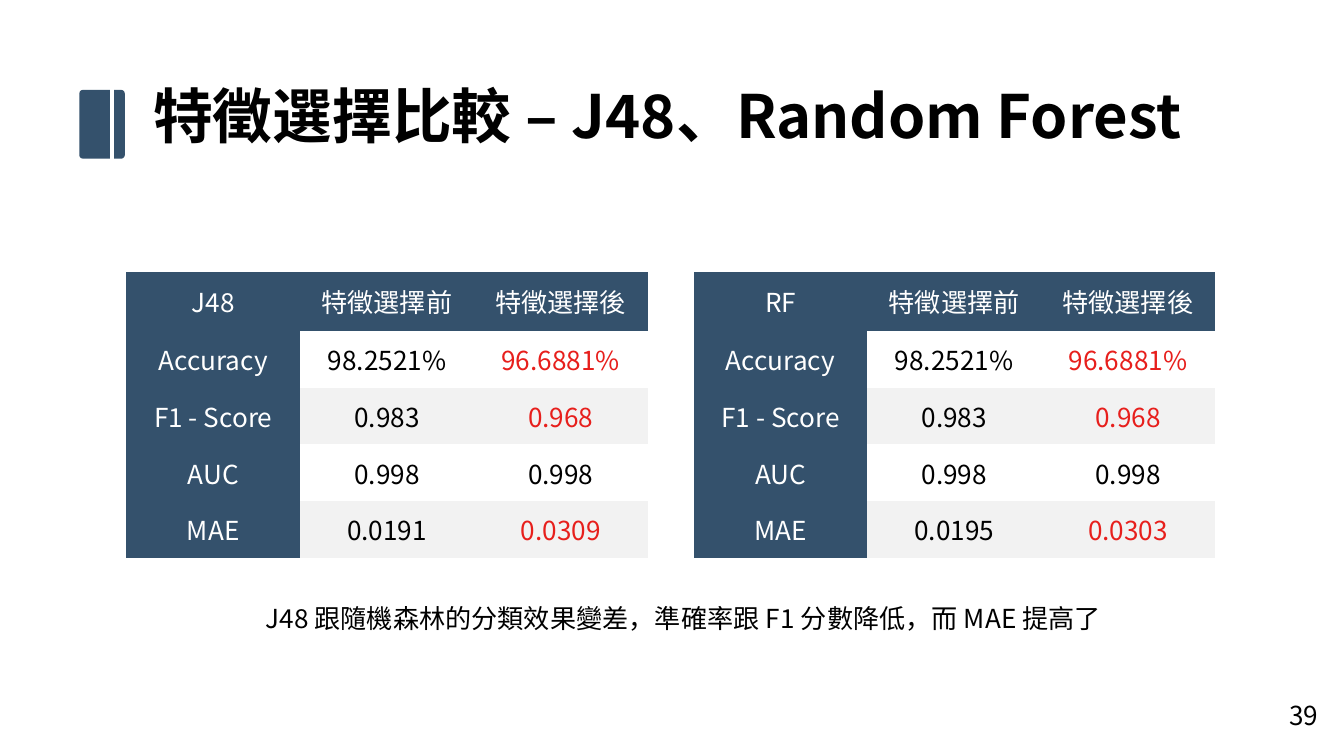
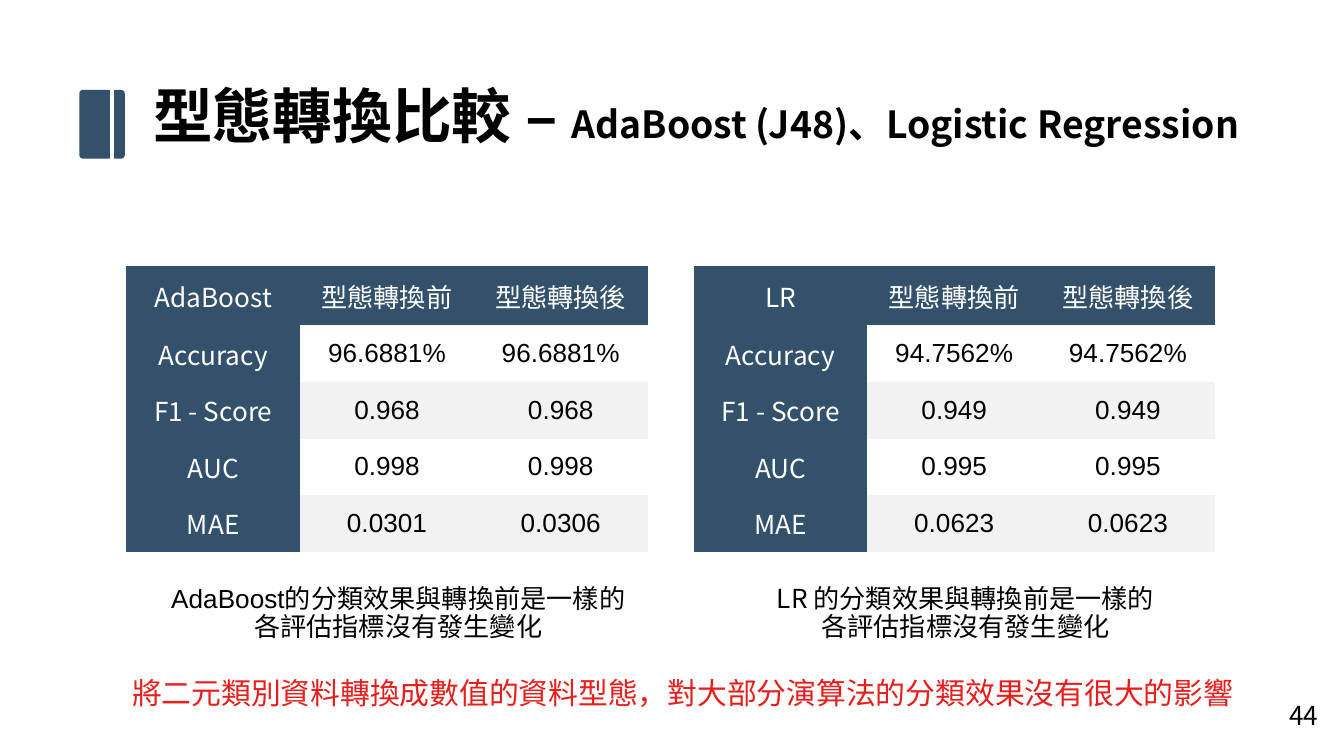
from pptx import Presentation
from pptx.dml.color import RGBColor
from pptx.enum.shapes import MSO_CONNECTOR, MSO_SHAPE
from pptx.enum.text import MSO_ANCHOR, PP_ALIGN
from pptx.oxml.ns import qn
from pptx.util import Cm, Pt
from lxml import etree

LEFT, CENTER = PP_ALIGN.LEFT, PP_ALIGN.CENTER
TOP, MIDDLE = MSO_ANCHOR.TOP, MSO_ANCHOR.MIDDLE
ROUND = MSO_SHAPE.ROUNDED_RECTANGLE
STRAIGHT = MSO_CONNECTOR.STRAIGHT
TITLE_ONLY = 5

COLORS = {"navy": "34516C", "white": "FFFFFF", "black": "000000",
          "red": "E71F1C", "gray": "F2F2F2"}
SANS, ARIAL = "Noto Sans CJK JP", "Arial"
PLAIN_TABLE = "{2D5ABB26-0587-4C30-8999-92F81FD0307C}"

WIDE, HIGH = 25.4, 14.29
TABLE_X = (2.39, 13.11)
TABLE_W = 9.85
HEAD_H, ROW_H = 1.12, 1.07
METRICS = ("Accuracy", "F1 - Score", "AUC", "MAE")


def color(name):
    return RGBColor.from_string(COLORS[name])


class Deck:
    """Holds the presentation, its style and the current slide."""

    def __init__(self):
        self.prs = Presentation()
        self.prs.slide_width, self.prs.slide_height = Cm(WIDE), Cm(HIGH)
        self.slide = None

    def start(self, title, page):
        layout = self.prs.slide_layouts[TITLE_ONLY]
        self.slide = self.prs.slides.add_slide(layout)
        self.title(title)
        self.mark()
        self.text(23.88, 13.18, 1.52, 1.09, [[(page,)]], indent=0)

    def run(self, para, text, size=14, tint="black", face=SANS, bold=False):
        run = para.add_run()
        run.text = text
        font = run.font
        font.size, font.bold, font.name = Pt(size), bold, face
        font.color.rgb = color(tint)
        east = etree.SubElement(run._r.get_or_add_rPr(), qn("a:ea"))
        east.set("typeface", SANS)

    def title(self, runs):
        shape = self.slide.shapes.title
        shape.left, shape.top = Cm(2.64), Cm(1.57)
        shape.width, shape.height = Cm(21.36), Cm(1.63)
        frame = shape.text_frame
        frame.word_wrap, frame.vertical_anchor = True, TOP
        frame.margin_top = frame.margin_bottom = Cm(0.08)
        para = frame.paragraphs[0]
        para.alignment, para.line_spacing = LEFT, 0.9
        for text, size in runs:
            self.run(para, text, size, bold=True)

    def mark(self):
        """Draw the split block before the title."""
        block = self.slide.shapes.add_shape(
            ROUND, Cm(1.5), Cm(1.7), Cm(0.86), Cm(1.3))
        block.adjustments[0] = 0.08
        block.shadow.inherit = False
        block.fill.solid()
        block.fill.fore_color.rgb = color("navy")
        block.line.fill.background()
        split = self.slide.shapes.add_connector(
            STRAIGHT, Cm(2.11), Cm(1.52), Cm(2.11), Cm(3.25))
        split.line.color.rgb = color("white")
        split.line.width = Pt(2)
        etree.SubElement(split._element.spPr, qn("a:effectLst"))

    def text(self, x, y, w, h, lines, indent=0.43, **style):
        """Add centred lines, each a list of (text, optional face) runs."""
        box = self.slide.shapes.add_textbox(Cm(x), Cm(y), Cm(w), Cm(h))
        frame = box.text_frame
        frame.word_wrap = True
        for i, runs in enumerate(lines):
            para = frame.add_paragraph() if i else frame.paragraphs[0]
            para.alignment, para.line_spacing = CENTER, 0.87
            if indent:
                props = para._p.get_or_add_pPr()
                props.set("marL", str(Cm(indent)))
                props.set("indent", "0")
            for text, *face in runs:
                self.run(para, text, face=face[0] if face else SANS, **style)

    def cell(self, cell, text, fill, tint, face):
        cell.vertical_anchor = MIDDLE
        cell.margin_left = cell.margin_right = Cm(0.2)
        cell.margin_top = cell.margin_bottom = Cm(0.17)
        if fill:
            cell.fill.solid()
            cell.fill.fore_color.rgb = color(fill)
        else:
            cell.fill.background()
        para = cell.text_frame.paragraphs[0]
        para.alignment = CENTER
        self.run(para, text, tint=tint, face=face)

    def table(self, x, y, name, topic, pairs, face=SANS, warn=False):
        """Compare scores before and after; warn reddens changed ones."""
        rows = [(name, topic + "前", topic + "後")]
        rows += [(m, *pair) for m, pair in zip(METRICS, pairs)]
        high = HEAD_H + ROW_H * len(METRICS)
        grid = self.slide.shapes.add_table(
            len(rows), 3, Cm(x), Cm(y), Cm(TABLE_W), Cm(high)).table
        grid._tbl.tblPr.find(qn("a:tableStyleId")).text = PLAIN_TABLE
        grid.horz_banding = False
        for col in grid.columns:
            col.width = Cm(TABLE_W / 3)
        for r, row in enumerate(rows):
            grid.rows[r].height = Cm(ROW_H if r else HEAD_H)
            for c, text in enumerate(row):
                if r == 0 or c == 0:
                    look = "navy", "white", SANS
                else:
                    hot = warn and c == 2 and text != row[1]
                    look = (None if r % 2 else "gray",
                            "red" if hot else "black", face)
                self.cell(grid.cell(r, c), text, *look)


def choice(deck):
    deck.start([("特徵選擇比較 – J48、Random Forest", 32)], "39")
    shared = [("98.2521%", "96.6881%"), ("0.983", "0.968"),
              ("0.998", "0.998")]
    lasts = {"J48": ("0.0191", "0.0309"), "RF": ("0.0195", "0.0303")}
    for x, (name, last) in zip(TABLE_X, lasts.items()):
        deck.table(x, 5.14, name, "特徵選擇", shared + [last], warn=True)
    deck.text(0, 11.35, WIDE, 0.86, [[
        ("J48 跟隨機森林的分類效果變差，準確率跟 F1 分數降低，而 MAE 提高了",)]])


def change(deck):
    deck.start([("型態轉換比較 – ", 32),
                ("AdaBoost (J48)、Logistic Regression", 20)], "44")
    scores = {
        "AdaBoost": [("96.6881%", "96.6881%"), ("0.968", "0.968"),
                     ("0.998", "0.998"), ("0.0301", "0.0306")],
        "LR": [("94.7562%", "94.7562%"), ("0.949", "0.949"),
               ("0.995", "0.995"), ("0.0623", "0.0623")],
    }
    same = "的分類效果與轉換前是一樣的"
    heads = ([("AdaBoost", ARIAL), (same,)], [("LR " + same,)])
    for x, (name, pairs), head in zip(TABLE_X, scores.items(), heads):
        deck.table(x, 5.03, name, "型態轉換", pairs, face=ARIAL)
        deck.text(x, 10.97, TABLE_W, 1.45,
                  [head, [("各評估指標沒有發生變化",)]])
    deck.text(0, 12.73, WIDE, 0.94, [[
        ("將二元類別資料轉換成數值的資料型態，對大部分演算法的分類效果沒有很大的影響",)]],
        size=16, tint="red")


def main():
    deck = Deck()
    choice(deck)
    change(deck)
    deck.prs.save("out.pptx")


if __name__ == "__main__":
    main()
